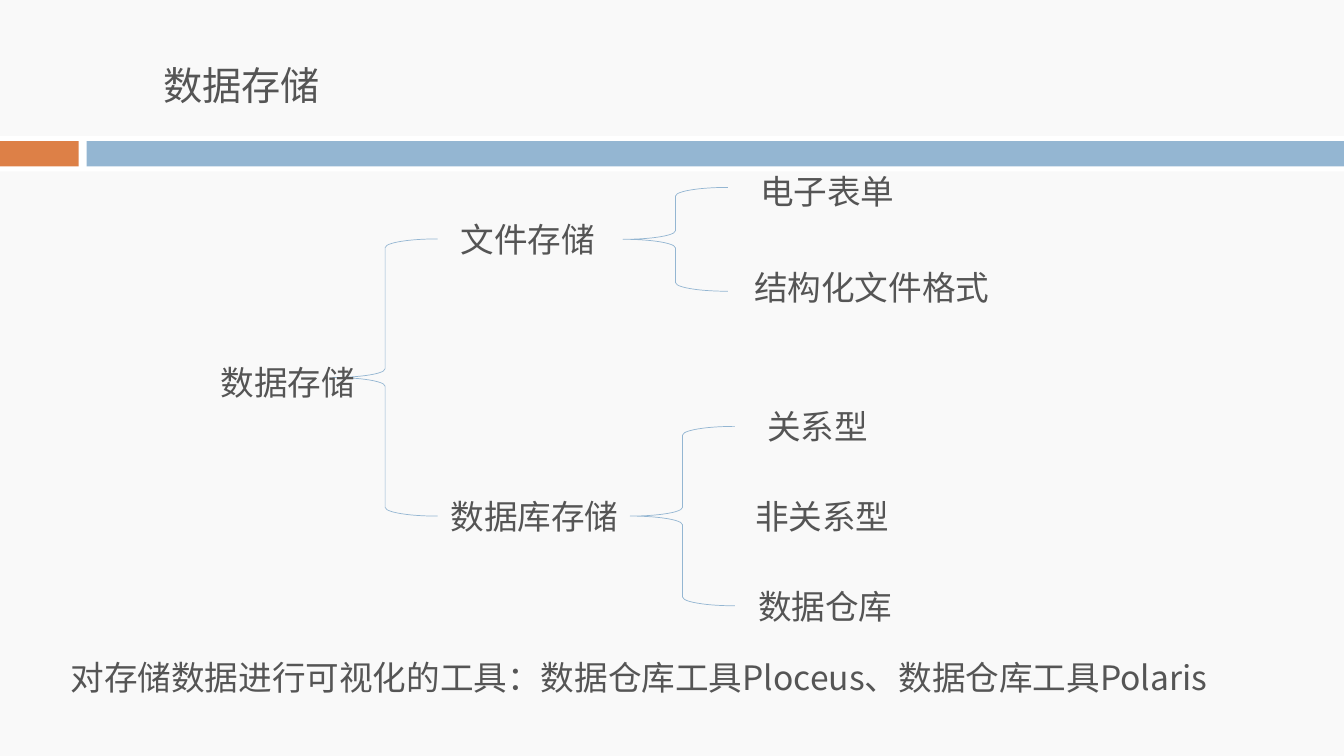
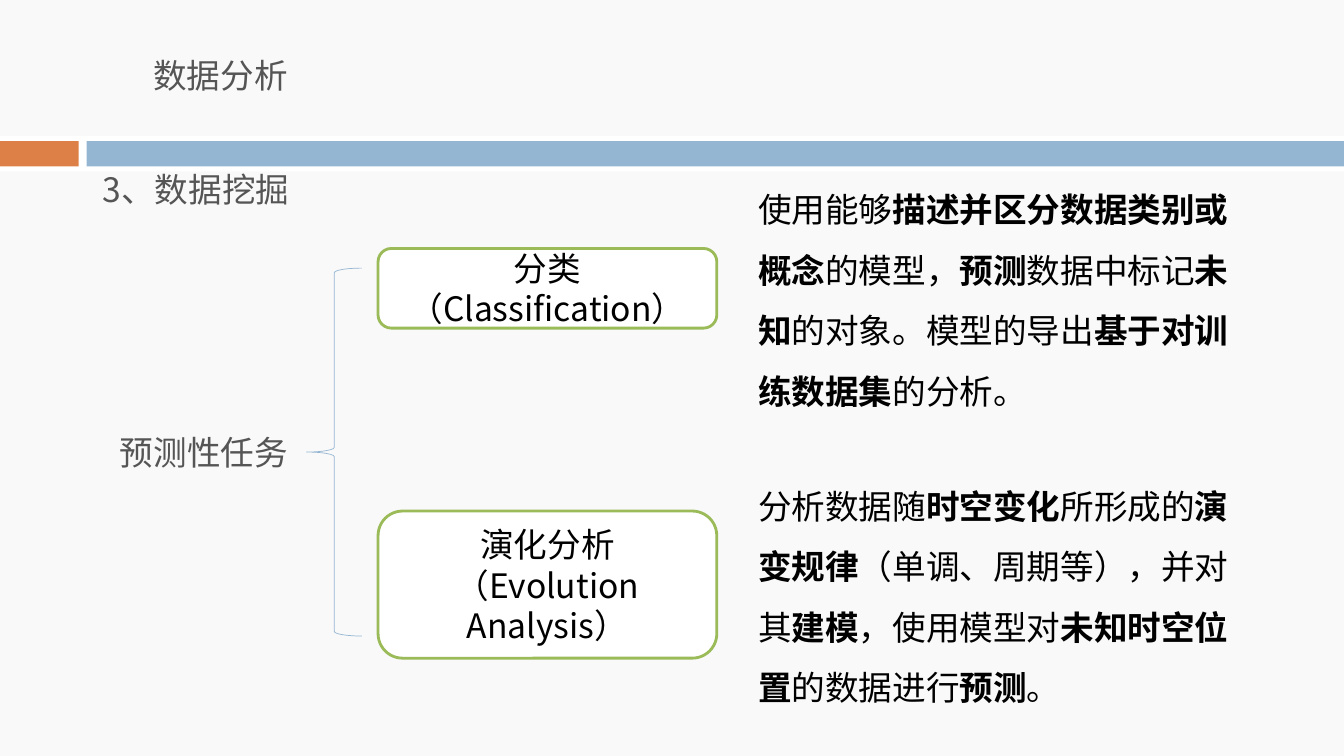
import pptx
import pptx.dml.color
import pptx.enum.shapes
import pptx.enum.text
import pptx.oxml
import pptx.oxml.ns
import pptx.util

SHAPES = pptx.enum.shapes.MSO_SHAPE
ALIGN = pptx.enum.text.PP_ALIGN
ANCHOR = pptx.enum.text.MSO_ANCHOR
FIT = pptx.enum.text.MSO_AUTO_SIZE

WIDTH, HEIGHT = 13.33, 7.5
FONT = "Noto Sans CJK SC"
TEXT_SIZE = 24
LABEL_HEIGHT = 0.5
COLORS = {
    "page": "F9F9F9",
    "white": "FFFFFF",
    "accent": "DD8047",
    "band": "94B6D2",
    "label": "555555",
    "card": "9BBB59",
    "body": "000000",
}
BANDS = [
    ((0, 1.35, WIDTH, 0.35), "white"),
    ((0, 1.4, 0.78, 0.25), "accent"),
    ((0.86, 1.4, WIDTH - 0.86, 0.25), "band"),
]


def rgb(name):
    return pptx.dml.color.RGBColor.from_string(COLORS[name])


def inches(box):
    return [pptx.util.Inches(length) for length in box]


def apply(target, values):
    for name, value in values.items():
        setattr(target, name, value)


def add_figure(slide, kind, box, fill=None, line=None, weight=0.5):
    figure = slide.shapes.add_shape(kind, *inches(box))
    figure.shadow.inherit = False
    if fill:
        figure.fill.solid()
        figure.fill.fore_color.rgb = rgb(fill)
    else:
        figure.fill.background()
    if line:
        figure.line.color.rgb = rgb(line)
        figure.line.width = pptx.util.Pt(weight)
    else:
        figure.line.fill.background()
    return figure


def write(frame, paragraphs, color="label", size=TEXT_SIZE, frame_format=None, **paragraph_format):
    apply(frame, {"word_wrap": True, "auto_size": FIT.NONE, **(frame_format or {})})
    for index, segments in enumerate(paragraphs):
        paragraph = frame.add_paragraph() if index else frame.paragraphs[0]
        apply(paragraph, paragraph_format)
        for position, words in enumerate(segments):
            run = paragraph.add_run()
            run.text = words
            apply(run.font, {
                "name": FONT,
                "size": pptx.util.Pt(size),
                "bold": position % 2 == 1,
            })
            run.font.color.rgb = rgb(color)
            east_asian = pptx.oxml.parse_xml(
                f'<a:ea {pptx.oxml.ns.nsdecls("a")} typeface="{FONT}"/>')
            run.font.fill
            run._r.get_or_add_rPr().find(pptx.oxml.ns.qn("a:latin")).addnext(east_asian)


def text_width(text, size=TEXT_SIZE):
    return len(text) * size / 72 + 0.22


def add_label(slide, text, left, top, width=None):
    box = (left, top, width or text_width(text), LABEL_HEIGHT)
    label = slide.shapes.add_textbox(*inches(box))
    write(label.text_frame, [[text]])


def add_fan(slide, box, root=None, leaves=()):
    left, top, width, height = box
    add_figure(slide, SHAPES.LEFT_BRACE, box, line="band")
    if root:
        text, shift, drop = root
        add_label(slide, text, left + shift, top + (height - LABEL_HEIGHT) / 2 + drop)
    for index, (text, shift, drop) in enumerate(leaves):
        centre = top + height * index / (len(leaves) - 1) + drop
        add_label(slide, text, left + width + shift, centre - LABEL_HEIGHT / 2)


def add_task(slide, box, card_height, names, description):
    left, top, width, height = box
    card_width, text_left = 3.36, 3.67
    card = add_figure(
        slide, SHAPES.ROUNDED_RECTANGLE,
        (left, top + (height - card_height) / 2, card_width, card_height),
        "white", "card", 2)
    write(card.text_frame, [[name] for name in names], "body",
          frame_format={"vertical_anchor": ANCHOR.MIDDLE}, alignment=ALIGN.CENTER)
    details = slide.shapes.add_textbox(
        *inches((left + text_left, top, width - text_left, height)))
    write(details.text_frame, [description], "body", line_spacing=1.5)


def prepare_layout(deck):
    layout = deck.slide_layouts.get_by_name("Title Only")
    layout.background.fill.solid()
    layout.background.fill.fore_color.rgb = rgb("page")
    return layout


def move_bands_to_layout(slide, layout):
    for position, (box, color) in enumerate(BANDS):
        band = add_figure(slide, SHAPES.RECTANGLE, box, color)
        layout.shapes.element.insert(2 + position, band.element)


def add_titled_slide(deck, layout, text, left, top, size):
    slide = deck.slides.add_slide(layout)
    title = slide.shapes.title
    box = inches((left, top, text_width(text, size), size / 50))
    apply(title, dict(zip(("left", "top", "width", "height"), box)))
    write(title.text_frame, [[text]], size=size,
          frame_format={"vertical_anchor": ANCHOR.TOP}, alignment=ALIGN.LEFT)
    return slide


def build_storage(deck, layout):
    slide = add_titled_slide(deck, layout, "数据存储", 1.52, 0.56, 28)
    add_fan(slide, (3.3, 2.37, 1.04, 2.75), ("数据存储", -1.21, 0.05),
            [("文件存储", 0.13, 0), ("数据库存储", 0.03, 0)])
    add_fan(slide, (6.18, 1.86, 1.04, 1.03), leaves=[
        ("电子表单", 0.22, 0.04), ("结构化文件格式", 0.16, -0.04)])
    add_fan(slide, (6.25, 4.23, 1.04, 1.78), leaves=[
        ("关系型", 0.22, 0), ("非关系型", 0.1, 0), ("数据仓库", 0.13, 0)])
    add_label(slide, "对存储数据进行可视化的工具：数据仓库工具Ploceus、数据仓库工具Polaris",
              0.6, 6.47, 11.65)
    return slide


def build_analysis(deck, layout):
    slide = add_titled_slide(deck, layout, "数据分析", 1.42, 0.49, 24)
    add_label(slide, "3、数据挖掘", 0.92, 1.63, 2.05)
    add_fan(slide, (3.04, 2.66, 0.55, 3.65), ("预测性任务", -1.95, 0))
    add_task(slide, (3.75, 1.63, 8.71, 2.46), 0.79,
             ["分类", "（Classification）"],
             ["使用能够", "描述并区分数据类别或概念", "的模型，", "预测", "数据中标记",
              "未知", "的对象。模型的导出", "基于对训练数据集", "的分析。"])
    add_task(slide, (3.75, 4.57, 8.71, 2.46), 1.46,
             ["演化分析", "（Evolution Analysis）"],
             ["分析数据随", "时空变化", "所形成的", "演变规律", "（单调、周期等），并对其",
              "建模", "，使用模型对", "未知时空位置", "的数据进行", "预测", "。"])


def main():
    deck = pptx.Presentation()
    deck.slide_width, deck.slide_height = inches((WIDTH, HEIGHT))
    layout = prepare_layout(deck)
    storage = build_storage(deck, layout)
    move_bands_to_layout(storage, layout)
    build_analysis(deck, layout)
    deck.save("out.pptx")


if __name__ == "__main__":
    main()
